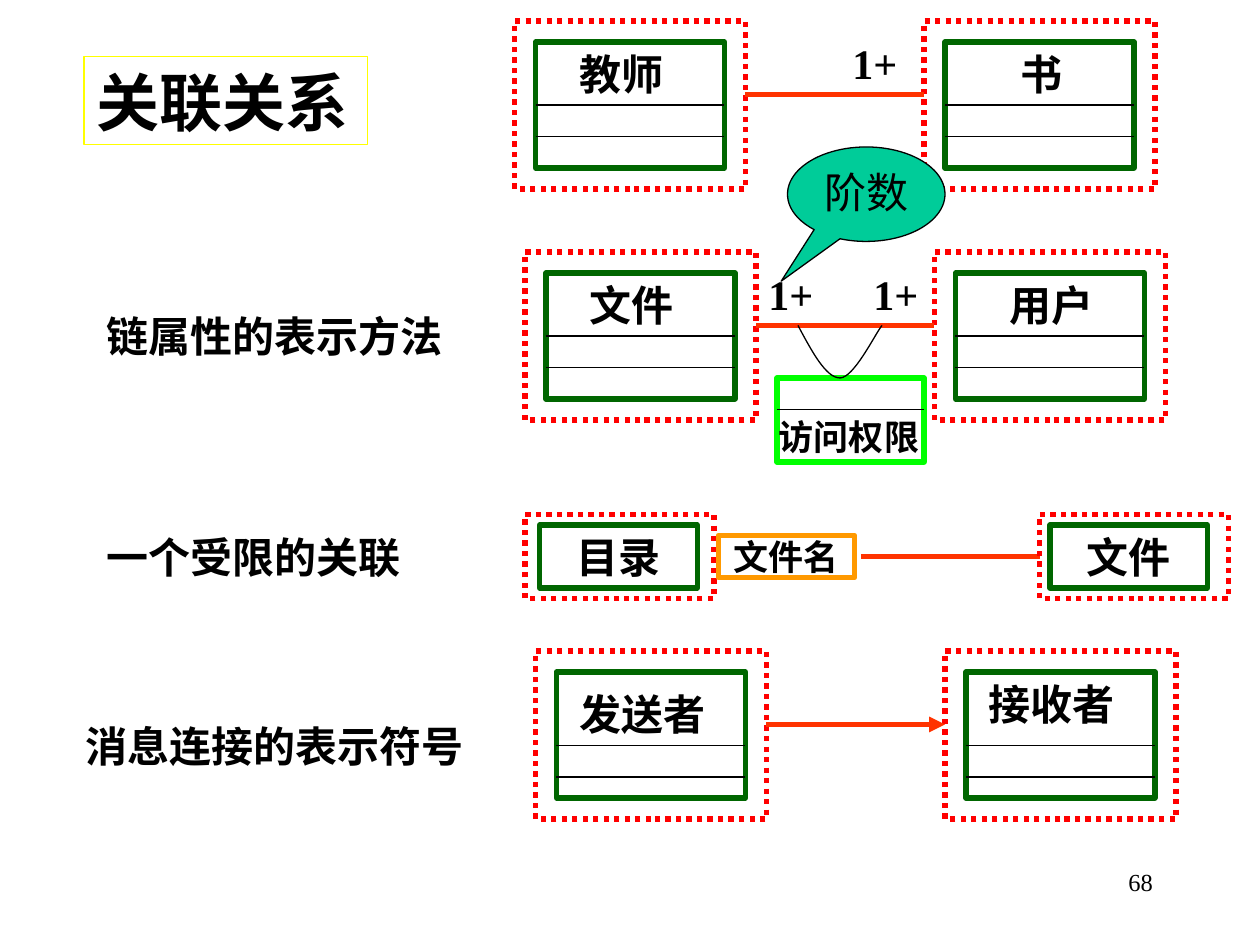
from lxml.etree import SubElement
from pptx import Presentation
from pptx.dml.color import RGBColor
from pptx.enum.dml import MSO_LINE
from pptx.enum.shapes import MSO_CONNECTOR, MSO_SHAPE
from pptx.enum.text import MSO_ANCHOR as Anchor, MSO_AUTO_SIZE, PP_ALIGN as Align
from pptx.oxml.ns import qn
from pptx.util import Cm, Pt

BLACK = RGBColor(0x00, 0x00, 0x00)
YELLOW = RGBColor(0xFF, 0xFF, 0x00)
RED = RGBColor(0xFF, 0x00, 0x00)
ORANGE_RED = RGBColor(0xFF, 0x33, 0x00)
ORANGE = RGBColor(0xFF, 0x99, 0x00)
DARK_GREEN = RGBColor(0x00, 0x66, 0x00)
LIME = RGBColor(0x00, 0xFF, 0x00)
TEAL = RGBColor(0x00, 0xCC, 0x99)

FONT = "Times New Roman"
THIN, THICK = 0.75, 3
LINK_DROP = 7  # association line below the top of a frame


def grid(*counts):
    """Lengths on a grid of twelve steps to the inch."""
    return [Cm(count * 2.54 / 12) for count in counts]


def write(shape, text, size=24, bold=True, align=Align.LEFT, anchor=Anchor.TOP, wrap=True):
    frame = shape.text_frame
    frame.auto_size = MSO_AUTO_SIZE.NONE
    frame.word_wrap = wrap
    frame.vertical_anchor = anchor
    para = frame.paragraphs[0]
    para.alignment = align
    span = para.add_run()
    span.text = text
    span.font.name = FONT
    span.font.size = Pt(size)
    span.font.bold = bold
    span.font.color.rgb = BLACK


def add_text(page, text, left, top, width, height=6, **style):
    write(page.shapes.add_textbox(*grid(left, top, width, height)), text, **style)


def set_line(shape, color, width):
    shape.line.color.rgb = color
    shape.line.width = Pt(width)


def add_box(page, left, top, width, height, color, weight=THICK, kind=MSO_SHAPE.RECTANGLE):
    box = page.shapes.add_shape(kind, *grid(left, top, width, height))
    box.shadow.inherit = False
    box.fill.background()
    set_line(box, color, weight)
    return box


def add_frame(page, left, top, width, height):
    frame = add_box(page, left, top, width, height, RED)
    frame.line.dash_style = MSO_LINE.ROUND_DOT
    return frame


def add_line(page, left, right, y, color=BLACK, weight=THIN, arrow=False):
    line = page.shapes.add_connector(MSO_CONNECTOR.STRAIGHT, *grid(left, y, right, y))
    set_line(line, color, weight)
    if arrow:
        SubElement(line.line._get_or_add_ln(), qn("a:tailEnd"), type="triangle")
    SubElement(line._element.spPr, qn("a:effectLst"))
    return line


def add_class(page, left, top, first_rule=8):
    """Three-part class symbol inside its dotted object frame."""
    add_box(page, left + 2, top + 2, 18, 12, DARK_GREEN)
    for drop in (first_rule, first_rule + 3):
        add_line(page, left + 2, left + 20, top + drop)
    add_frame(page, left, top, 22, 16)


def add_association(page, left, top, first_rule=8, arrow=False):
    """Two class symbols joined by an association line."""
    for offset in (0, 39):
        add_class(page, left + offset, top, first_rule)
    add_line(page, left + 22, left + 39, top + LINK_DROP, ORANGE_RED, THICK, arrow)


def add_named_box(page, text, left, top, width, height, color, size=24):
    box = add_box(page, left, top, width, height, color)
    write(box, text, size=size, align=Align.CENTER, anchor=Anchor.MIDDLE, wrap=False)


def bezier(points, steps=16):
    """Points along a cubic curve, without its start."""
    for step in range(1, steps + 1):
        t = step / steps
        weights = ((1 - t) ** 3, 3 * t * (1 - t) ** 2, 3 * t * t * (1 - t), t ** 3)
        yield grid(*(sum(w * p[axis] for w, p in zip(weights, points)) for axis in (0, 1)))


def add_loop(page):
    """Curve that hangs the link attribute on its association."""
    start, bottom, end = (76, 31), (80, 36), (84, 31)
    builder = page.shapes.build_freeform(*grid(*start))
    curve = [*bezier((start, (77.33, 33.5), (78.67, 36), bottom)),
             *bezier((bottom, (81.33, 36), (83.33, 31.83), end))]
    builder.add_line_segments(curve, close=False)
    loop = builder.convert_to_shape()
    loop.shadow.inherit = False
    loop.fill.background()
    set_line(loop, BLACK, THIN)


def add_title(page, text):
    title = page.shapes.title
    title.left, title.top, title.width, title.height = grid(8, 5.4, 27, 8.4)
    set_line(title, YELLOW, THIN)
    write(title, text, size=36)


def add_qualified_association(page):
    add_named_box(page, "目录", 51.4, 50, 15, 6, DARK_GREEN)
    add_frame(page, 50, 49, 18, 8)
    link = add_line(page, 82, 99, 53, ORANGE_RED, THICK)
    add_named_box(page, "文件", 100, 50, 15, 6, DARK_GREEN)
    link.end_connect(add_frame(page, 99, 49, 18, 8), 1)
    add_named_box(page, "文件名", 68.4, 51, 13, 4, ORANGE, size=20)


def add_link_attribute(page):
    add_box(page, 74, 36, 14, 8, LIME)
    add_line(page, 74, 88, 39)
    add_text(page, "访问权限", 73, 39, 16, 5.25, size=20)
    add_loop(page)


def add_callout(page, text):
    callout = add_box(page, 75, 14, 15, 9, BLACK, THIN, MSO_SHAPE.OVAL_CALLOUT)
    callout.adjustments[0], callout.adjustments[1] = -0.54, 0.92
    callout.fill.solid()
    callout.fill.fore_color.rgb = TEAL
    write(callout, text, bold=False, align=Align.CENTER)


def main():
    deck = Presentation()
    deck.slide_width, deck.slide_height = grid(120, 90)
    page = deck.slides.add_slide(deck.slide_layouts[5])

    # Title, page number and row captions
    add_title(page, "关联关系")
    add_text(page, "68", 86, 82, 25, size=14, bold=False, align=Align.RIGHT)
    add_text(page, "链属性的表示方法", 9, 29, 36)
    add_text(page, "一个受限的关联", 9, 50, 36)
    add_text(page, "消息连接的表示符号", 7, 68, 40)

    # Class diagrams
    add_association(page, 49, 2)
    add_association(page, 50, 24)
    add_link_attribute(page)
    add_qualified_association(page)
    add_association(page, 51, 62, first_rule=9, arrow=True)

    # Class names and multiplicities
    for text, left, top, width in (
        ("教师", 54, 4, 11), ("书", 96, 4, 7), ("1+", 80, 3, 9),
        ("文件", 55, 26, 11), ("用户", 95, 26, 11),
        ("1+", 72, 25, 9), ("1+", 82, 25, 9),
        ("发送者", 54, 65, 17), ("接收者", 93, 64, 17),
    ):
        add_text(page, text, left, top, width)

    add_callout(page, "阶数")
    deck.save("out.pptx")


if __name__ == "__main__":
    main()
